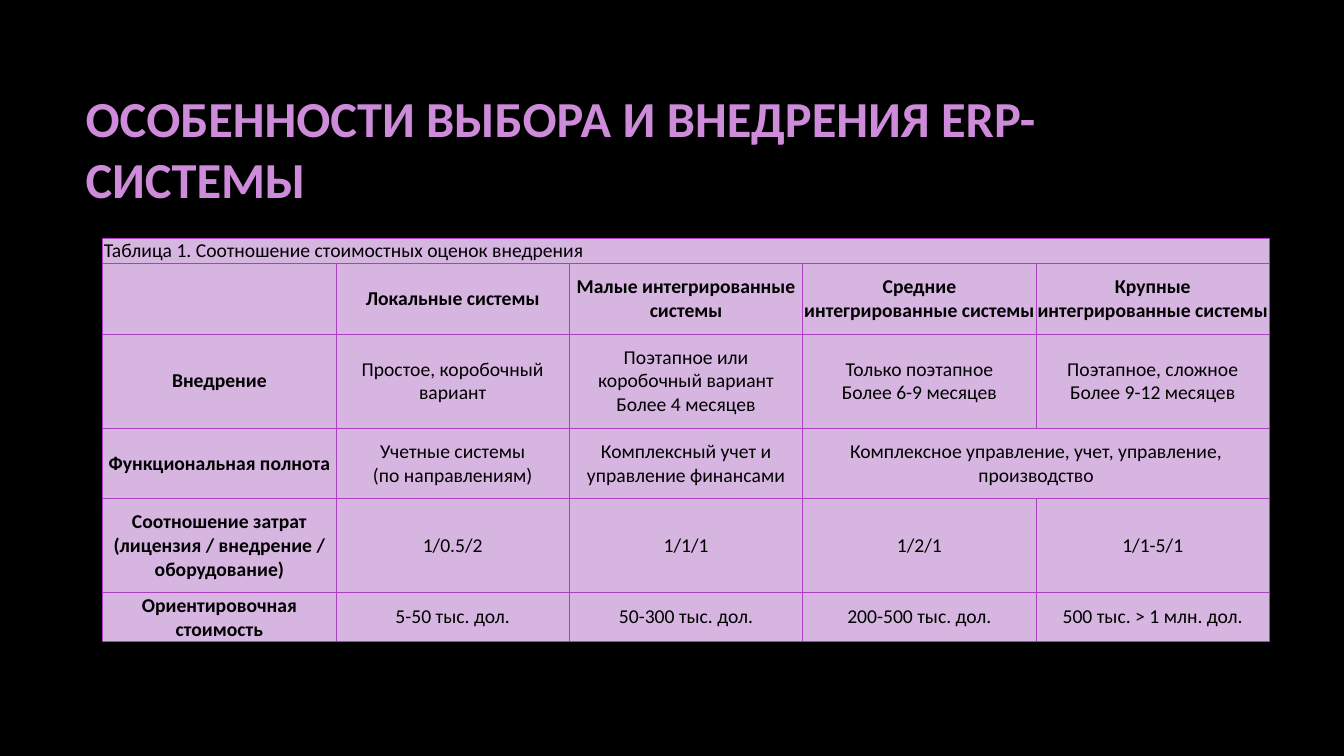
from lxml import etree
from pptx import Presentation
from pptx.dml import color
from pptx.enum import text
from pptx.oxml import ns
from pptx.util import Pt

FONT = "Calibri"
TITLE = "ОСОБЕННОСТИ ВЫБОРА И ВНЕДРЕНИЯ ERP-СИСТЕМЫ"
ROWS = [
    ["Таблица 1. Соотношение стоимостных оценок внедрения", "", "", "", ""],
    ["", "Локальные системы", "Малые интегрированные системы",
     "Средние интегрированные системы", "Крупные интегрированные системы"],
    ["Внедрение", "Простое, коробочный вариант",
     "Поэтапное или коробочный вариант\nБолее 4 месяцев",
     "Только поэтапное\nБолее 6-9 месяцев",
     "Поэтапное, сложное\nБолее 9-12 месяцев"],
    ["Функциональная полнота", "Учетные системы\n(по направлениям)",
     "Комплексный учет и управление финансами",
     "Комплексное управление, учет, управление, производство", ""],
    ["Соотношение затрат (лицензия / внедрение / оборудование)",
     "1/0.5/2", "1/1/1", "1/2/1", "1/1-5/1"],
    ["Ориентировочная стоимость", "5-50 тыс. дол.", "50-300 тыс. дол.",
     "200-500 тыс. дол.", "500 тыс. > 1 млн. дол."],
]
HEIGHTS = [13, 50.5, 67, 50.5, 67, 34.5]
WIDTH = 166.7
SPANS = [(0, 0, 4), (3, 3, 4)]


def rgb(code):
    return color.RGBColor.from_string(code)


def style(frame, size, code, bold, align):
    for para in frame.paragraphs:
        para.alignment = align
        para.font.size = Pt(size)
        for run in para.runs:
            font = run.font
            font.name, font.size, font.bold = FONT, Pt(size), bold
            font.color.rgb = rgb(code)


def edge(cell, code, width):
    props = cell._tc.get_or_add_tcPr()
    for side in ("a:lnL", "a:lnR", "a:lnT", "a:lnB"):
        line = etree.SubElement(props, ns.qn(side), w=str(Pt(width)))
        fill = etree.SubElement(line, ns.qn("a:solidFill"))
        etree.SubElement(fill, ns.qn("a:srgbClr"), val=code)


def title(slide):
    box = slide.shapes.add_textbox(Pt(54), Pt(48.2), Pt(797.8), Pt(114.5))
    frame = box.text_frame
    frame.word_wrap = True
    frame.vertical_anchor = text.MSO_ANCHOR.MIDDLE
    frame.text = TITLE
    style(frame, 36, "CD8BDA", True, text.PP_ALIGN.LEFT)


def fill_cell(cell, words, bold, align):
    cell.margin_left = cell.margin_right = Pt(0.75)
    cell.margin_top = cell.margin_bottom = Pt(0.75)
    cell.vertical_anchor = text.MSO_ANCHOR.MIDDLE
    cell.text_frame.text = words
    style(cell.text_frame, 14, "000000", bold, align)
    edge(cell, "AC3EC1", 0.75)
    cell.fill.solid()
    cell.fill.fore_color.rgb = rgb("D7B5E1")


def grid(slide):
    cols = len(ROWS[0])
    table = slide.shapes.add_table(
        len(ROWS), cols, Pt(73.4), Pt(170), Pt(WIDTH * cols), Pt(sum(HEIGHTS))
    ).table
    table.first_row = table.horz_banding = False
    for col in table.columns:
        col.width = Pt(WIDTH)
    for r, words in enumerate(ROWS):
        table.rows[r].height = Pt(HEIGHTS[r])
        align = text.PP_ALIGN.CENTER if r else text.PP_ALIGN.LEFT
        for c, word in enumerate(words):
            bold = r == 1 or (r > 1 and c == 0)
            fill_cell(table.cell(r, c), word, bold, align)
    for row, first, last in SPANS:
        table.cell(row, first).merge(table.cell(row, last))


def main():
    deck = Presentation()
    deck.slide_width, deck.slide_height = Pt(960), Pt(540)
    slide = deck.slides.add_slide(deck.slide_layouts[6])
    back = slide.background.fill
    back.solid()
    back.fore_color.rgb = rgb("000000")
    title(slide)
    grid(slide)
    deck.save("out.pptx")


if __name__ == "__main__":
    main()
